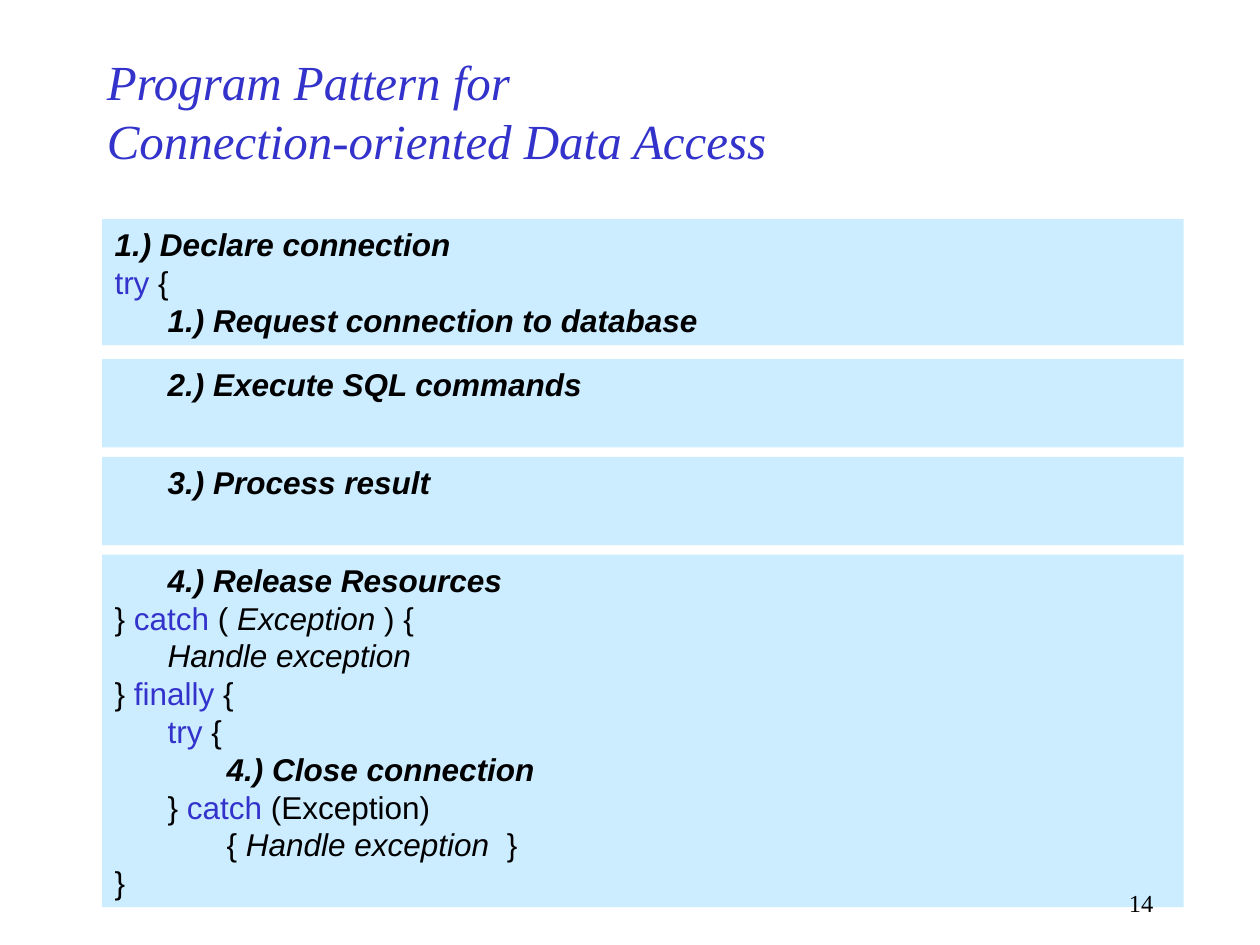
from dataclasses import dataclass

from pptx import Presentation
from pptx.dml.color import RGBColor
from pptx.enum import shapes, text
from pptx.oxml.xmlchemy import OxmlElement
from pptx.util import Cm, Pt

BLUE = RGBColor(0x33, 0x33, 0xCC)
BLACK = RGBColor(0, 0, 0)
PALE_BLUE = RGBColor(0xCC, 0xEC, 0xFF)

# Text styles
CODE = dict(name="Arial", size=Pt(18), bold=False, italic=False)
PLAIN = CODE | dict(color=BLACK)
KEYWORD = CODE | dict(color=BLUE)
PSEUDO = PLAIN | dict(italic=True)
STEP = PSEUDO | dict(bold=True)
TITLE = dict(name="Times New Roman", size=Pt(28), italic=True, color=BLUE)
PAGE = dict(name="Times New Roman", size=Pt(14), color=BLACK)

INDENTS = (Cm(1.07), Cm(2.26))
BLOCK_LEFT, BLOCK_WIDTH = Cm(2.06), Cm(21.8)


@dataclass
class CodeBlock:
    top: float
    height: float
    lines: list  # each line is a list of (text, style)


BLOCKS = [
    CodeBlock(4.42, 2.54, [
        [("1.) Declare connection", STEP)],
        [("try", KEYWORD), (" {", PLAIN)],
        [("\t1.) Request connection to database", STEP)],
    ]),
    CodeBlock(7.24, 1.78, [[("\t2.) Execute SQL commands", STEP)]]),
    CodeBlock(9.21, 1.78, [[("\t3.) Process result", STEP)]]),
    CodeBlock(11.18, 7.11, [
        [("\t4.) Release Resources", STEP)],
        [("} ", PLAIN), ("catch ", KEYWORD), ("( ", PLAIN),
         ("Exception ", PSEUDO), (") {", PLAIN)],
        [("\tHandle exception", PSEUDO)],
        [("} ", PLAIN), ("finally", KEYWORD), (" {", PLAIN)],
        [("\t", PLAIN), ("try", KEYWORD), (" {", PLAIN)],
        [("\t\t4.) Close connection", STEP)],
        [("\t} ", PLAIN), ("catch ", KEYWORD), ("(Exception)", PLAIN)],
        [("\t\t{ ", PLAIN), ("Handle exception ", PSEUDO), (" }", PLAIN)],
        [("}", PLAIN)],
    ]),
]


def apply_style(font, style: dict) -> None:
    for key, value in style.items():
        if key == "color":
            font.color.rgb = value
        else:
            setattr(font, key, value)


def add_indents(paragraph) -> None:
    tabs = OxmlElement("a:tabLst")
    for position in INDENTS:
        tab = OxmlElement("a:tab")
        tab.set("pos", str(int(position)))
        tab.set("algn", "l")
        tabs.append(tab)
    paragraph._p.get_or_add_pPr().append(tabs)


def add_code_block(slide, block: CodeBlock) -> None:
    panel = slide.shapes.add_shape(
        shapes.MSO_SHAPE.RECTANGLE,
        BLOCK_LEFT, Cm(block.top), BLOCK_WIDTH, Cm(block.height))
    panel.shadow.inherit = False
    panel.fill.solid()
    panel.fill.fore_color.rgb = PALE_BLUE
    panel.line.fill.background()
    frame = panel.text_frame
    frame.word_wrap = True
    frame.vertical_anchor = text.MSO_ANCHOR.TOP
    for number, line in enumerate(block.lines):
        paragraph = frame.add_paragraph() if number else frame.paragraphs[0]
        paragraph.alignment = text.PP_ALIGN.LEFT
        add_indents(paragraph)
        for words, style in line:
            run = paragraph.add_run()
            run.text = words
            apply_style(run.font, style)


def main() -> None:
    prs = Presentation()
    prs.slide_width, prs.slide_height = Cm(25.4), Cm(19.05)
    slide = prs.slides.add_slide(prs.slide_layouts[5])

    # Title
    title = slide.shapes.title
    title.left, title.top = Cm(1.9), Cm(1.27)
    title.width, title.height = Cm(19.05), Cm(1.9)
    frame = title.text_frame
    frame.text = "Program Pattern for \vConnection-oriented Data Access"
    frame.auto_size = text.MSO_AUTO_SIZE.NONE
    frame.vertical_anchor = text.MSO_ANCHOR.MIDDLE
    frame.paragraphs[0].alignment = text.PP_ALIGN.LEFT
    for run in frame.paragraphs[0].runs:
        apply_style(run.font, TITLE)

    # Program skeleton
    for block in BLOCKS:
        add_code_block(slide, block)

    # Page number
    page = slide.shapes.add_textbox(Cm(18.2), Cm(17.78), Cm(5.3), Cm(0.85))
    page.text_frame.word_wrap = True
    paragraph = page.text_frame.paragraphs[0]
    paragraph.alignment = text.PP_ALIGN.RIGHT
    run = paragraph.add_run()
    run.text = "14"
    apply_style(run.font, PAGE)

    prs.save("out.pptx")


if __name__ == "__main__":
    main()
